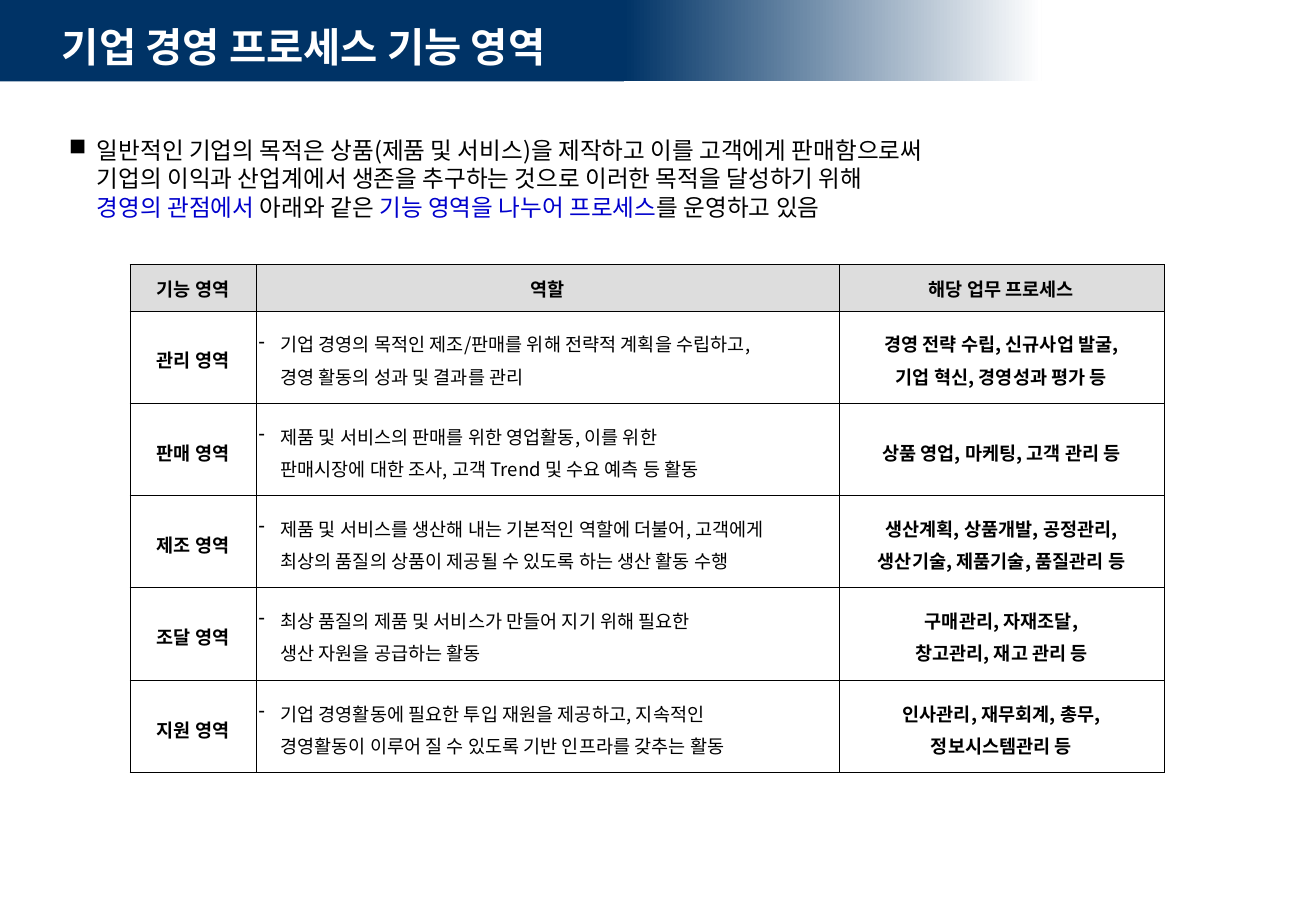
"""Builds the slide on the functional areas of business processes."""
from lxml.etree import SubElement
from pptx import Presentation
from pptx.dml.color import RGBColor
from pptx.enum.shapes import MSO_SHAPE
from pptx.enum.text import MSO_ANCHOR, PP_ALIGN
from pptx.oxml import parse_xml
from pptx.oxml.ns import nsdecls, qn
from pptx.util import Pt

PX = 9144
KOREAN_FONT = "Noto Sans CJK KR"
COLOURS = {"navy": "003366", "white": "FFFFFF", "black": "000000", "blue": "0000CC", "grey": "DDDDDD"}

TITLE_FONT = {"size": Pt(24), "name": KOREAN_FONT, "bold": True}
INTRO_FONT = {"size": Pt(14), "name": KOREAN_FONT, "bold": False}
HEADER_FONT = {"size": Pt(11), "name": "Arial", "bold": True}
LABEL_FONT = {"size": Pt(11), "name": KOREAN_FONT, "bold": True}
ROLE_FONT = {"size": Pt(11), "name": KOREAN_FONT, "bold": False}

CENTRED = {"alignment": PP_ALIGN.CENTER, "line_spacing": 1.2}
LEFT = {"alignment": PP_ALIGN.LEFT, "line_spacing": 1.2}
JUSTIFIED = {"alignment": PP_ALIGN.JUSTIFY, "line_spacing": 1.0}
SINGLE_LEFT = {"alignment": PP_ALIGN.LEFT, "line_spacing": 1.0}
SINGLE_CENTRED = {"alignment": PP_ALIGN.CENTER, "line_spacing": 1.0}

INTRO = [
    [("일반적인 기업의 목적은 상품(제품 및 서비스)을 제작하고 이를 고객에게 판매함으로써", "black")],
    [("기업의 이익과 산업계에서 생존을 추구하는 것으로 이러한 목적을 달성하기 위해", "black")],
    [("경영의 관점에서 ", "blue"), ("아래와 같은 ", "black"),
     ("기능 영역을 나누어 프로세스", "blue"), ("를 운영하고 있음", "black")],
]
HEADERS = ["기능 영역", "역할", "해당 업무 프로세스"]
AREAS = [
    (["관리 영역"],
     ["기업 경영의 목적인 제조/판매를 위해 전략적 계획을 수립하고,", "경영 활동의 성과 및 결과를 관리"],
     ["경영 전략 수립, 신규사업 발굴,", "기업 혁신, 경영성과 평가 등"]),
    (["판매 영역"],
     ["제품 및 서비스의 판매를 위한 영업활동, 이를 위한", "판매시장에 대한 조사, 고객 Trend 및 수요 예측 등 활동"],
     ["상품 영업, 마케팅, 고객 관리 등"]),
    (["제조 영역"],
     ["제품 및 서비스를 생산해 내는 기본적인 역할에 더불어, 고객에게", "최상의 품질의 상품이 제공될 수 있도록 하는 생산 활동 수행"],
     ["생산계획, 상품개발, 공정관리,", "생산기술, 제품기술, 품질관리 등"]),
    (["조달 영역"],
     ["최상 품질의 제품 및 서비스가 만들어 지기 위해 필요한", "생산 자원을 공급하는 활동"],
     ["구매관리, 자재조달,", "창고관리, 재고 관리 등"]),
    (["지원 영역"],
     ["기업 경영활동에 필요한 투입 재원을 제공하고, 지속적인", "경영활동이 이루어 질 수 있도록 기반 인프라를 갖추는 활동"],
     ["인사관리, 재무회계, 총무,", "정보시스템관리 등"]),
]


def colour(name):
    return RGBColor.from_string(COLOURS[name])


def set_all(target, values):
    for name, value in values.items():
        setattr(target, name, value)


def plain(lines, name="black"):
    return [[(line, name)] for line in lines]


def add_span(para, text, font, name):
    span = para.add_run()
    span.text = text
    set_all(span.font, font)
    span.font.color.rgb = colour(name)
    SubElement(span.font._element, qn("a:ea"), typeface=KOREAN_FONT)


def write(frame, lines, font, layout, bullet=None, hang=0):
    for number, spans in enumerate(lines):
        para = frame.add_paragraph() if number else frame.paragraphs[0]
        set_all(para, layout)
        if bullet:
            properties = para._p.get_or_add_pPr()
            properties.set("marL", str(hang * PX))
            properties.set("indent", str(0 if number else -hang * PX))
            if not number:
                SubElement(properties, qn("a:buChar"), char=bullet)
        for text, name in spans:
            add_span(para, text, font, name)


def add_band(page, left, width, fades=False):
    band = page.shapes.add_shape(MSO_SHAPE.RECTANGLE, left * PX, 0, width * PX, 67 * PX)
    band.shadow.inherit = False
    band.line.fill.background()
    if fades:
        band.fill.gradient()
        band.fill.gradient_angle = 0
        for stop, name in zip(band.fill.gradient_stops, ["navy", "white"]):
            stop.color.rgb = colour(name)
    else:
        band.fill.solid()
        band.fill.fore_color.rgb = colour("navy")


def place_title(page, text):
    title = page.shapes.title
    set_all(title, {"left": 41 * PX, "top": 13 * PX, "width": 556 * PX, "height": 50 * PX})
    title.text_frame.vertical_anchor = MSO_ANCHOR.MIDDLE
    write(title.text_frame, plain([text], "white"), TITLE_FONT, SINGLE_LEFT)
    title.element.getparent().append(title.element)


def add_intro(page):
    box = page.shapes.add_textbox(47 * PX, 107 * PX, 906 * PX, 94 * PX)
    box.text_frame.word_wrap = True
    write(box.text_frame, INTRO, INTRO_FONT, JUSTIFIED, "■", 23)


def add_borders(cell):
    properties = cell._tc.get_or_add_tcPr()
    for position, side in enumerate(["lnL", "lnR", "lnT", "lnB"]):
        properties.insert(position, parse_xml(
            f'<a:{side} {nsdecls("a")} w="5715"><a:solidFill>'
            f'<a:srgbClr val="{COLOURS["black"]}"/></a:solidFill></a:{side}>'))


def fill_cell(cell, lines, font, layout, shade=None, **bullet):
    cell.vertical_anchor = MSO_ANCHOR.MIDDLE
    if shade:
        cell.fill.solid()
        cell.fill.fore_color.rgb = colour(shade)
    else:
        cell.fill.background()
        set_all(cell, {"margin_left": 2 * PX, "margin_right": 2 * PX})
    add_borders(cell)
    write(cell.text_frame, plain(lines), font, layout, **bullet)


def add_area_table(page):
    widths = [104, 480, 268]
    heights = [38] + [76] * len(AREAS)
    table = page.shapes.add_table(
        len(heights), len(widths), 107 * PX, 218 * PX, sum(widths) * PX, sum(heights) * PX).table
    for column, width in zip(table.columns, widths):
        column.width = width * PX
    for row, height in zip(table.rows, heights):
        row.height = height * PX
    for column, header in enumerate(HEADERS):
        fill_cell(table.cell(0, column), [header], HEADER_FONT, SINGLE_CENTRED, "grey")
    for row, (area, role, processes) in enumerate(AREAS, 1):
        fill_cell(table.cell(row, 0), area, LABEL_FONT, CENTRED)
        fill_cell(table.cell(row, 1), role, ROLE_FONT, LEFT, bullet="-", hang=18)
        fill_cell(table.cell(row, 2), processes, LABEL_FONT, CENTRED)


def main():
    deck = Presentation()
    set_all(deck, {"slide_width": 1084 * PX, "slide_height": 750 * PX})
    page = deck.slides.add_slide(deck.slide_layouts[5])
    add_band(page, 514, 344, fades=True)
    add_band(page, 0, 514)
    place_title(page, "기업 경영 프로세스 기능 영역")
    add_intro(page)
    add_area_table(page)
    deck.save("out.pptx")


if __name__ == "__main__":
    main()
